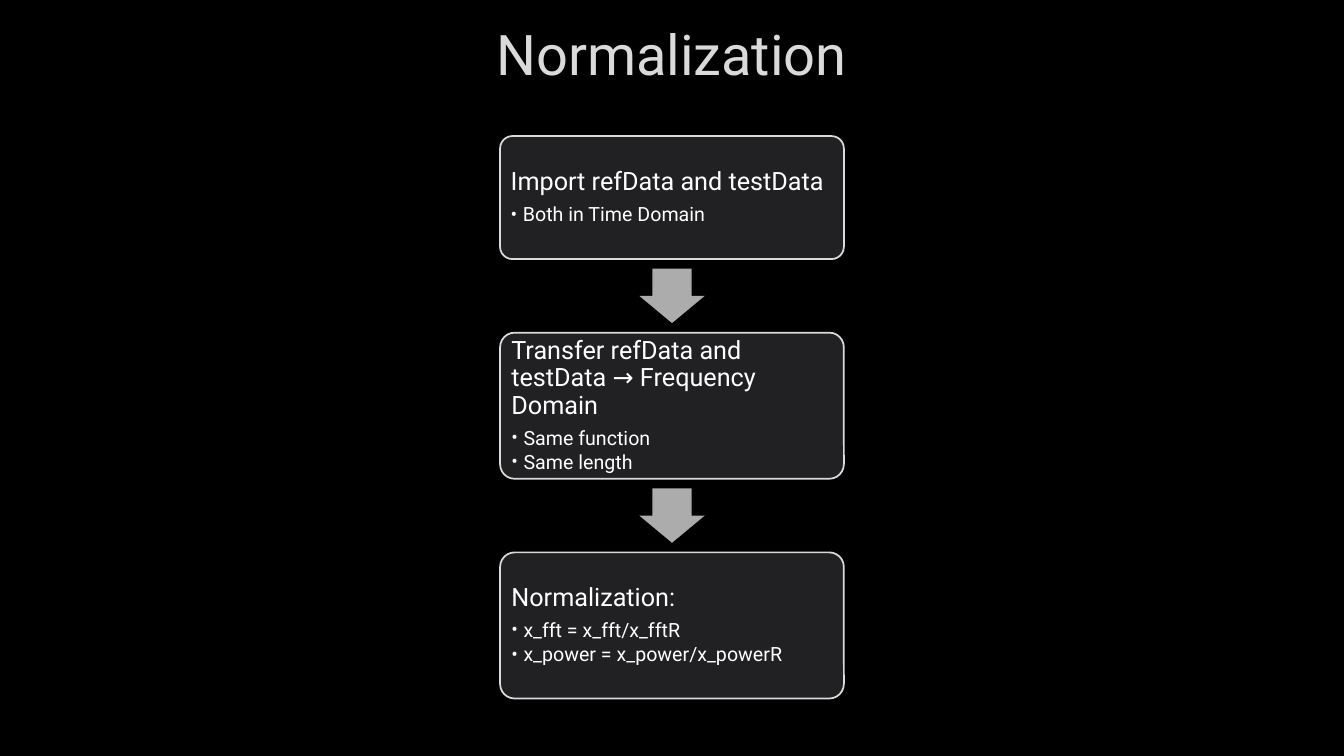
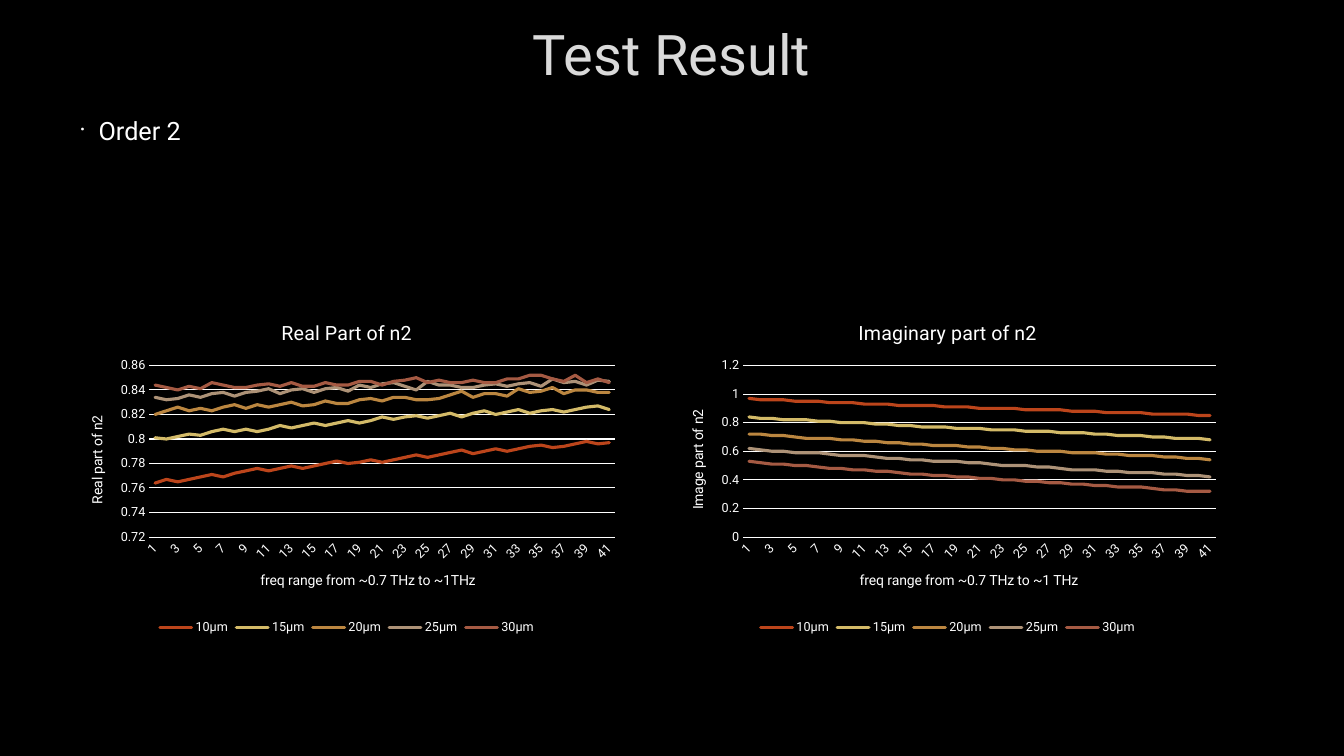
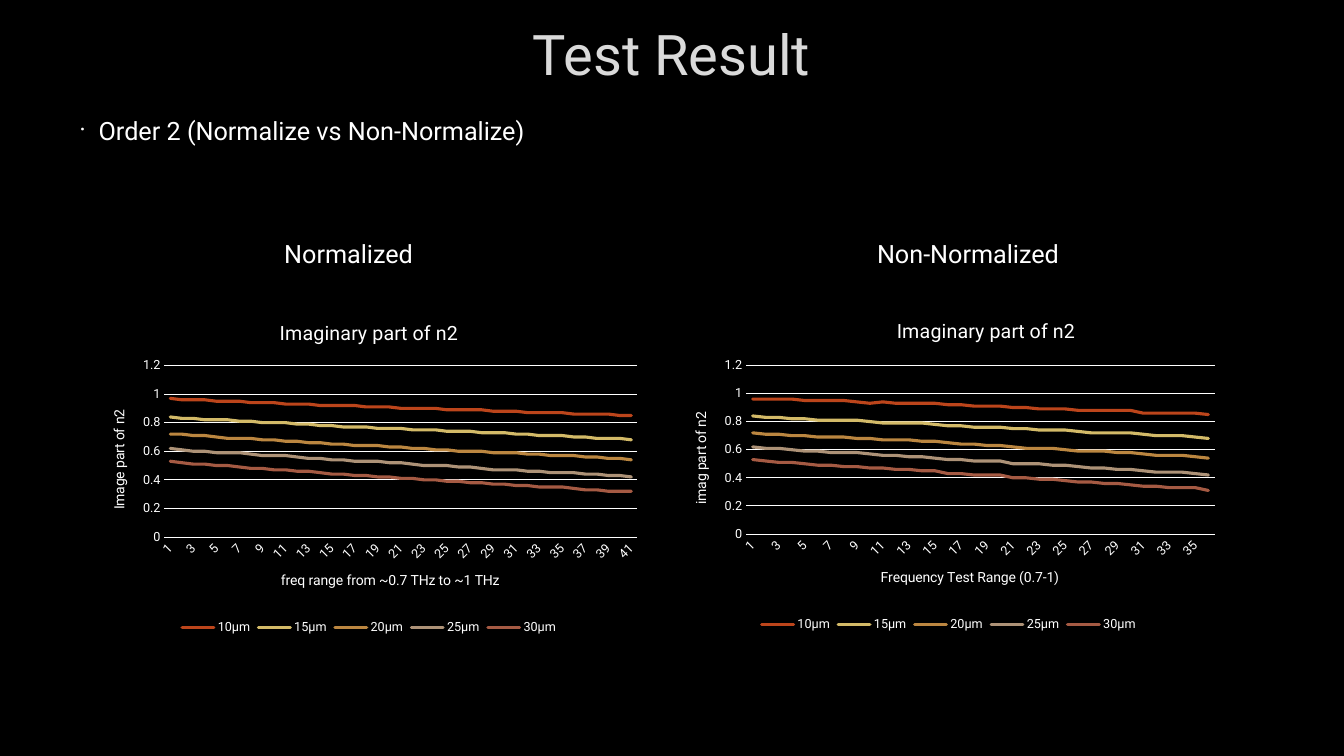
import dataclasses
import typing

import pptx
import pptx.chart.data
import pptx.dml.color
import pptx.enum.chart
import pptx.enum.shapes
import pptx.enum.text
import pptx.oxml
import pptx.oxml.ns
import pptx.util
from pptx.util import Inches

FONT = "Roboto"
BLACK, WHITE, SILVER, GRAY, CHARCOAL = "000000", "FFFFFF", "DADADA", "ACACAC", "212123"
TITLE_SIZE, HEADING_SIZE, DETAIL_SIZE = 40, 18, 14
CHART_TITLE_SIZE, AXIS_TITLE_SIZE, LABEL_SIZE = 14, 10, 9
THIN_LINE, CARD_LINE, SERIES_LINE = 0.75, 1.25, 2.25
BLANK_LAYOUT = 6
LABEL_ROTATION = -45
SERIES_COLORS = {
    "10μm": "BC451B",
    "15μm": "D3BA68",
    "20μm": "BB8640",
    "25μm": "AD9277",
    "30μm": "A55A43",
}

REAL_PART = [
    [0.764, 0.767, 0.765, 0.767, 0.769, 0.771, 0.769, 0.772, 0.774, 0.776, 0.774, 0.776,
     0.778, 0.776, 0.778, 0.78, 0.782, 0.78, 0.781, 0.783, 0.781, 0.783, 0.785, 0.787,
     0.785, 0.787, 0.789, 0.791, 0.788, 0.79, 0.792, 0.79, 0.792, 0.794, 0.795, 0.793,
     0.794, 0.796, 0.798, 0.796, 0.797],
    [0.801, 0.8, 0.802, 0.804, 0.803, 0.806, 0.808, 0.806, 0.808, 0.806, 0.808, 0.811,
     0.809, 0.811, 0.813, 0.811, 0.813, 0.815, 0.813, 0.815, 0.818, 0.816, 0.818, 0.819,
     0.817, 0.819, 0.821, 0.818, 0.821, 0.823, 0.82, 0.822, 0.824, 0.821, 0.823, 0.824,
     0.822, 0.824, 0.826, 0.827, 0.824],
    [0.82, 0.823, 0.826, 0.823, 0.825, 0.823, 0.826, 0.828, 0.825, 0.828, 0.826, 0.828,
     0.83, 0.827, 0.828, 0.831, 0.829, 0.829, 0.832, 0.833, 0.831, 0.834, 0.834, 0.832,
     0.832, 0.833, 0.836, 0.839, 0.834, 0.837, 0.837, 0.835, 0.841, 0.838, 0.839, 0.842,
     0.837, 0.84, 0.84, 0.838, 0.838],
    [0.834, 0.832, 0.833, 0.836, 0.834, 0.837, 0.838, 0.835, 0.838, 0.839, 0.841, 0.837,
     0.84, 0.841, 0.838, 0.841, 0.842, 0.839, 0.844, 0.842, 0.845, 0.846, 0.843, 0.84,
     0.847, 0.844, 0.844, 0.842, 0.842, 0.844, 0.845, 0.843, 0.845, 0.846, 0.843, 0.849,
     0.846, 0.847, 0.844, 0.848, 0.847],
    [0.844, 0.842, 0.84, 0.843, 0.841, 0.846, 0.844, 0.842, 0.842, 0.844, 0.845, 0.843,
     0.846, 0.843, 0.843, 0.846, 0.844, 0.844, 0.847, 0.847, 0.844, 0.847, 0.848, 0.85,
     0.846, 0.848, 0.846, 0.846, 0.848, 0.846, 0.846, 0.849, 0.849, 0.852, 0.852, 0.849,
     0.847, 0.852, 0.846, 0.849, 0.846],
]
IMAGINARY_NORMALIZED = [
    [0.97, 0.96, 0.96, 0.96, 0.95, 0.95, 0.95, 0.94, 0.94, 0.94, 0.93, 0.93, 0.93, 0.92,
     0.92, 0.92, 0.92, 0.91, 0.91, 0.91, 0.9, 0.9, 0.9, 0.9, 0.89, 0.89, 0.89, 0.89,
     0.88, 0.88, 0.88, 0.87, 0.87, 0.87, 0.87, 0.86, 0.86, 0.86, 0.86, 0.85, 0.85],
    [0.84, 0.83, 0.83, 0.82, 0.82, 0.82, 0.81, 0.81, 0.8, 0.8, 0.8, 0.79, 0.79, 0.78,
     0.78, 0.77, 0.77, 0.77, 0.76, 0.76, 0.76, 0.75, 0.75, 0.75, 0.74, 0.74, 0.74, 0.73,
     0.73, 0.73, 0.72, 0.72, 0.71, 0.71, 0.71, 0.7, 0.7, 0.69, 0.69, 0.69, 0.68],
    [0.72, 0.72, 0.71, 0.71, 0.7, 0.69, 0.69, 0.69, 0.68, 0.68, 0.67, 0.67, 0.66, 0.66,
     0.65, 0.65, 0.64, 0.64, 0.64, 0.63, 0.63, 0.62, 0.62, 0.61, 0.61, 0.6, 0.6, 0.6,
     0.59, 0.59, 0.59, 0.58, 0.58, 0.57, 0.57, 0.57, 0.56, 0.56, 0.55, 0.55, 0.54],
    [0.62, 0.61, 0.6, 0.6, 0.59, 0.59, 0.59, 0.58, 0.57, 0.57, 0.57, 0.56, 0.55, 0.55,
     0.54, 0.54, 0.53, 0.53, 0.53, 0.52, 0.52, 0.51, 0.5, 0.5, 0.5, 0.49, 0.49, 0.48,
     0.47, 0.47, 0.47, 0.46, 0.46, 0.45, 0.45, 0.45, 0.44, 0.44, 0.43, 0.43, 0.42],
    [0.53, 0.52, 0.51, 0.51, 0.5, 0.5, 0.49, 0.48, 0.48, 0.47, 0.47, 0.46, 0.46, 0.45,
     0.44, 0.44, 0.43, 0.43, 0.42, 0.42, 0.41, 0.41, 0.4, 0.4, 0.39, 0.39, 0.38, 0.38,
     0.37, 0.37, 0.36, 0.36, 0.35, 0.35, 0.35, 0.34, 0.33, 0.33, 0.32, 0.32, 0.32],
]
IMAGINARY_NON_NORMALIZED = [
    [0.96, 0.96, 0.96, 0.96, 0.95, 0.95, 0.95, 0.95, 0.94, 0.93, 0.94, 0.93, 0.93, 0.93,
     0.93, 0.92, 0.92, 0.91, 0.91, 0.91, 0.9, 0.9, 0.89, 0.89, 0.89, 0.88, 0.88, 0.88,
     0.88, 0.88, 0.86, 0.86, 0.86, 0.86, 0.86, 0.85],
    [0.84, 0.83, 0.83, 0.82, 0.82, 0.81, 0.81, 0.81, 0.81, 0.8, 0.79, 0.79, 0.79, 0.79,
     0.78, 0.77, 0.77, 0.76, 0.76, 0.76, 0.75, 0.75, 0.74, 0.74, 0.74, 0.73, 0.72, 0.72,
     0.72, 0.72, 0.71, 0.7, 0.7, 0.7, 0.69, 0.68],
    [0.72, 0.71, 0.71, 0.7, 0.7, 0.69, 0.69, 0.69, 0.68, 0.68, 0.67, 0.67, 0.67, 0.66,
     0.66, 0.65, 0.64, 0.64, 0.63, 0.63, 0.62, 0.61, 0.61, 0.61, 0.6, 0.59, 0.59, 0.59,
     0.58, 0.58, 0.57, 0.56, 0.56, 0.56, 0.55, 0.54],
    [0.62, 0.61, 0.61, 0.6, 0.59, 0.59, 0.58, 0.58, 0.58, 0.57, 0.56, 0.56, 0.55, 0.55,
     0.54, 0.53, 0.53, 0.52, 0.52, 0.52, 0.5, 0.5, 0.5, 0.49, 0.49, 0.48, 0.47, 0.47,
     0.46, 0.46, 0.45, 0.44, 0.44, 0.44, 0.43, 0.42],
    [0.53, 0.52, 0.51, 0.51, 0.5, 0.49, 0.49, 0.48, 0.48, 0.47, 0.47, 0.46, 0.46, 0.45,
     0.45, 0.43, 0.43, 0.42, 0.42, 0.42, 0.4, 0.4, 0.39, 0.39, 0.38, 0.37, 0.37, 0.36,
     0.36, 0.35, 0.34, 0.34, 0.33, 0.33, 0.33, 0.31],
]


@dataclasses.dataclass
class Box:
    left: float
    top: float
    width: float
    height: float

    def lengths(self):
        return [Inches(value) for value in dataclasses.astuple(self)]


@dataclasses.dataclass
class LineChart:
    title: str
    category_title: str
    value_title: str
    values: list
    minimum: float = 0
    maximum: float = 1.2
    step: float = 0.2
    title_place: typing.Optional[tuple] = None


TITLE_BOX = Box(1, 0, 11.32, 1.06)
TOPIC_BOX = Box(0.69, 1.09, 11.36, 1.01)

REAL_CHART = LineChart(
    "Real Part of n2", "freq range from ~0.7 THz to ~1THz", "Real part of n2",
    REAL_PART, 0.72, 0.86, 0.02)
NORMALIZED_CHART = LineChart(
    "Imaginary part of n2", "freq range from ~0.7 THz to ~1 THz", "Image part of n2",
    IMAGINARY_NORMALIZED)
NON_NORMALIZED_CHART = LineChart(
    "Imaginary part of n2", "Frequency Test Range (0.7-1)", "imag part of n2",
    IMAGINARY_NON_NORMALIZED, title_place=(0.4, 0.03))


def color(value):
    return pptx.dml.color.RGBColor.from_string(value)


def style_font(font, size, value=WHITE):
    font.name = FONT
    font.size = pptx.util.Pt(size)
    font.bold = False
    font.color.rgb = color(value)


def style_line(line, value, width):
    line.color.rgb = color(value)
    line.width = pptx.util.Pt(width)


def set_text(frame, text, size, value=WHITE):
    frame.text = text
    for para in frame.paragraphs:
        for span in para.runs:
            style_font(span.font, size, value)


def add_bullet(para, symbol, indent):
    properties = para._p.get_or_add_pPr()
    properties.set("marL", str(Inches(indent)))
    properties.set("indent", str(-Inches(indent)))
    namespace = pptx.oxml.ns.nsdecls("a")
    for bullet in (f'<a:buFont {namespace} typeface="{FONT}"/>',
                   f'<a:buChar {namespace} char="{symbol}"/>'):
        properties.append(pptx.oxml.parse_xml(bullet))


def add_text(page, text, box, size=HEADING_SIZE, value=WHITE):
    frame = page.shapes.add_textbox(*box.lengths()).text_frame
    frame.word_wrap = True
    set_text(frame, text, size, value)
    return frame


def add_page(deck, title, topic=None):
    page = deck.slides.add_slide(deck.slide_layouts[BLANK_LAYOUT])
    frame = add_text(page, title, TITLE_BOX, TITLE_SIZE, SILVER)
    frame.vertical_anchor = pptx.enum.text.MSO_ANCHOR.MIDDLE
    frame.paragraphs[0].alignment = pptx.enum.text.PP_ALIGN.CENTER
    if topic:
        frame = add_text(page, topic, TOPIC_BOX)
        add_bullet(frame.paragraphs[0], "·", 0.19)
    return page


def add_filled_shape(page, kind, box, fill, adjustments):
    shape = page.shapes.add_shape(kind, *box.lengths())
    shape.shadow.inherit = False
    shape.fill.solid()
    shape.fill.fore_color.rgb = color(fill)
    for index, value in enumerate(adjustments):
        shape.adjustments[index] = value
    return shape


def add_step_card(page, heading, details, box):
    card = add_filled_shape(
        page, pptx.enum.shapes.MSO_SHAPE.ROUNDED_RECTANGLE, box, CHARCOAL, [0.1])
    style_line(card.line, SILVER, CARD_LINE)
    frame = card.text_frame
    frame.word_wrap = True
    frame.vertical_anchor = pptx.enum.text.MSO_ANCHOR.MIDDLE
    frame.margin_left = frame.margin_right = Inches(0.07)
    frame.margin_top = frame.margin_bottom = Inches(0.07)
    set_text(frame, "\n".join([heading, *details]), DETAIL_SIZE)
    for para in frame.paragraphs:
        para.alignment = pptx.enum.text.PP_ALIGN.LEFT
        para.line_spacing = 0.9
        para.space_after = pptx.util.Pt(0.15 * DETAIL_SIZE)
    heading_para, *detail_paras = frame.paragraphs
    heading_para.space_after = pptx.util.Pt(0.35 * HEADING_SIZE)
    style_font(heading_para.runs[0].font, HEADING_SIZE)
    for para in detail_paras:
        add_bullet(para, "•", 0.12)


def add_down_arrow(page, gap_box):
    width, height = 0.65, 0.54
    box = Box(gap_box.left + (gap_box.width - width) / 2,
              gap_box.top + (gap_box.height - height) / 2, width, height)
    arrow = add_filled_shape(
        page, pptx.enum.shapes.MSO_SHAPE.DOWN_ARROW, box, GRAY, [0.6, 0.5])
    arrow.line.fill.background()


def add_step_flow(page, steps, left, top, width, gap):
    for index, (heading, details, height) in enumerate(steps):
        if index:
            add_down_arrow(page, Box(left, top - gap, width, gap))
        add_step_card(page, heading, details, Box(left, top, width, height))
        top += height + gap


def style_axis(axis, title):
    axis.has_title = True
    set_text(axis.axis_title.text_frame, title, AXIS_TITLE_SIZE)
    style_font(axis.tick_labels.font, LABEL_SIZE)
    axis.major_tick_mark = pptx.enum.chart.XL_TICK_MARK.NONE
    axis.minor_tick_mark = pptx.enum.chart.XL_TICK_MARK.NONE


def style_category_axis(axis, title):
    style_axis(axis, title)
    style_line(axis.format.line, WHITE, THIN_LINE)
    labels = axis._element.find(pptx.oxml.ns.qn("c:txPr"))
    body = labels.find(pptx.oxml.ns.qn("a:bodyPr"))
    body.set("rot", str(LABEL_ROTATION * 60000))


def style_value_axis(axis, chart_model):
    style_axis(axis, chart_model.value_title)
    axis.minimum_scale = chart_model.minimum
    axis.maximum_scale = chart_model.maximum
    axis.major_unit = chart_model.step
    axis.tick_labels.number_format = "General"
    axis.tick_labels.number_format_is_linked = False
    axis.format.line.fill.background()
    axis.has_major_gridlines = True
    style_line(axis.major_gridlines.format.line, WHITE, THIN_LINE)


def style_series(plot):
    plot.vary_by_categories = False
    for series in plot.series:
        series.smooth = False
        series.marker.style = pptx.enum.chart.XL_MARKER_STYLE.NONE
        style_line(series.format.line, SERIES_COLORS[series.name], SERIES_LINE)
        series.format.line._get_or_add_ln().set("cap", "rnd")


def place_chart_title(title, x, y):
    layout = pptx.oxml.parse_xml(
        f'<c:layout {pptx.oxml.ns.nsdecls("c")}><c:manualLayout>'
        '<c:xMode val="edge"/><c:yMode val="edge"/>'
        f'<c:x val="{x}"/><c:y val="{y}"/></c:manualLayout></c:layout>')
    for previous in title._element.findall(pptx.oxml.ns.qn("c:layout")):
        title._element.remove(previous)
    title._element.find(pptx.oxml.ns.qn("c:tx")).addnext(layout)


def add_line_chart(page, chart_model, box):
    data = pptx.chart.data.CategoryChartData()
    count = len(chart_model.values[0])
    data.categories = [str(number) for number in range(1, count + 1)]
    for name, values in zip(SERIES_COLORS, chart_model.values):
        data.add_series(name, values)
    chart = page.shapes.add_chart(
        pptx.enum.chart.XL_CHART_TYPE.LINE, *box.lengths(), data).chart
    style_font(chart.font, AXIS_TITLE_SIZE)
    chart.has_title = True
    chart.chart_title.include_in_layout = False
    set_text(chart.chart_title.text_frame, chart_model.title, CHART_TITLE_SIZE)
    if chart_model.title_place:
        place_chart_title(chart.chart_title, *chart_model.title_place)
    chart.has_legend = True
    chart.legend.position = pptx.enum.chart.XL_LEGEND_POSITION.BOTTOM
    chart.legend.include_in_layout = False
    style_font(chart.legend.font, LABEL_SIZE)
    style_category_axis(chart.category_axis, chart_model.category_title)
    style_value_axis(chart.value_axis, chart_model)
    style_series(chart.plots[0])


def build_normalization(deck):
    page = add_page(deck, "Normalization")
    steps = [
        ("Import refData and testData", ["Both in Time Domain"], 1.22),
        ("Transfer refData and testData → Frequency Domain",
         ["Same function", "Same length"], 1.45),
        ("Normalization:", ["x_fft = x_fft/x_fftR", "x_power = x_power/x_powerR"], 1.45),
    ]
    add_step_flow(page, steps, left=4.96, top=1.35, width=3.41, gap=0.73)


def build_result(deck, topic, charts, captions=()):
    page = add_page(deck, "Test Result", topic)
    for text, box in captions:
        add_text(page, text, box)
    for chart_model, box in charts:
        add_line_chart(page, chart_model, box)


def main():
    deck = pptx.Presentation()
    deck.slide_width = Inches(13.33)
    deck.slide_height = Inches(7.5)
    background = deck.slide_master.background.fill
    background.solid()
    background.fore_color.rgb = color(BLACK)

    build_normalization(deck)
    build_result(
        deck, "Order 2",
        charts=[(REAL_CHART, Box(0.67, 3.01, 5.54, 3.33)),
                (NORMALIZED_CHART, Box(6.63, 3.01, 5.54, 3.33))])
    build_result(
        deck, "Order 2 (Normalize vs Non-Normalize)",
        charts=[(NORMALIZED_CHART, Box(0.89, 3.01, 5.54, 3.33)),
                (NON_NORMALIZED_CHART, Box(6.66, 3.01, 5.5, 3.3))],
        captions=[("Normalized", Box(2.72, 2.32, 1.88, 0.4)),
                  ("Non-Normalized", Box(8.6, 2.32, 2.49, 0.4))])
    deck.save("out.pptx")


if __name__ == "__main__":
    main()
